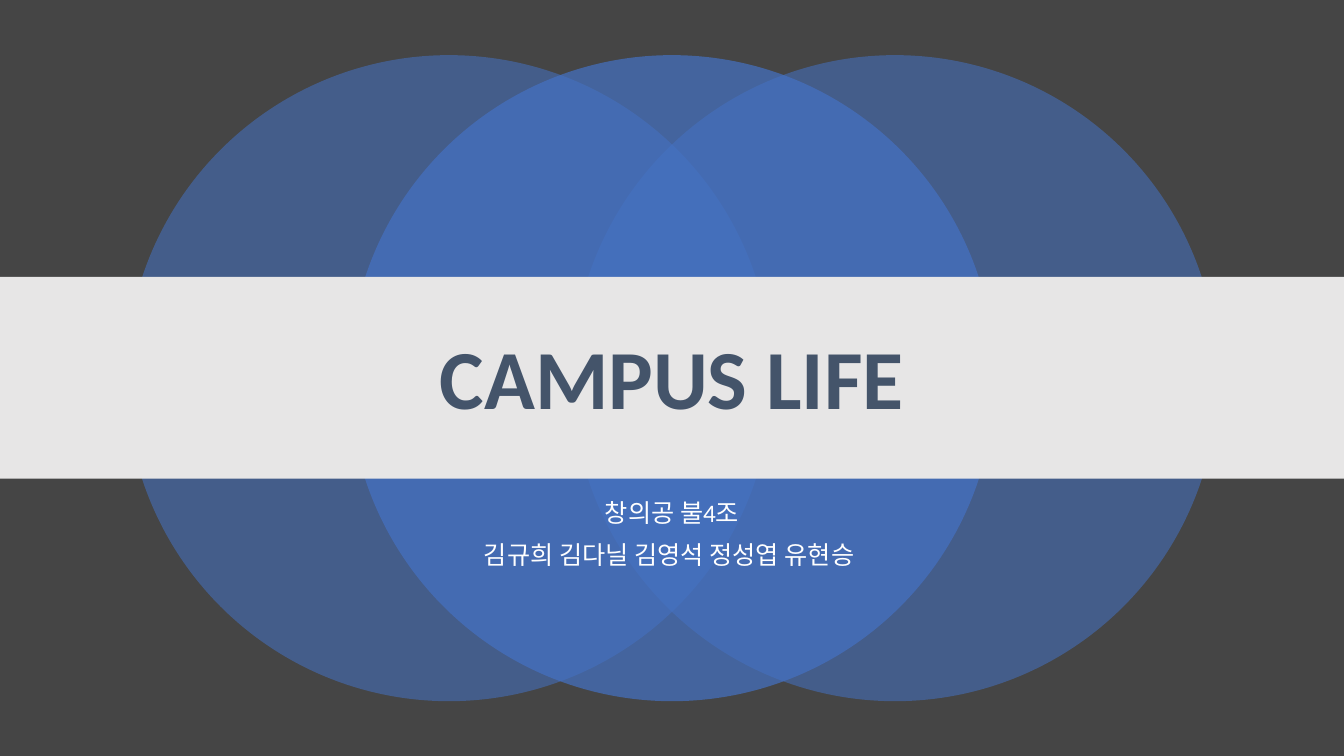
from dataclasses import dataclass

from lxml.etree import SubElement
from pptx import Presentation
from pptx.dml.color import RGBColor
from pptx.enum.shapes import MSO_SHAPE as Shape
from pptx.enum.text import MSO_ANCHOR as Anchor, PP_ALIGN as Align
from pptx.oxml.ns import qn
from pptx.util import Cm, Pt


@dataclass(frozen=True)
class Theme:
    font: str = "Calibri"
    background: str = "454545"
    circle: str = "4472C4"
    band: str = "E7E6E6"
    title: str = "44546A"
    subtitle: str = "FFFFFF"
    title_size: int = 60
    subtitle_size: int = 18


theme = Theme()
SLIDE_WIDTH, SLIDE_HEIGHT = 33.87, 19.05


def add_filled_shape(kind, left, top, width, height, color, opacity=100):
    """Add a borderless shape; lengths in cm, opacity in percent."""
    shape = slide.shapes.add_shape(kind, Cm(left), Cm(top), Cm(width), Cm(height))
    shape.shadow.inherit = False
    shape.line.fill.background()
    shape.fill.solid()
    shape.fill.fore_color.rgb = RGBColor.from_string(color)
    if opacity < 100:
        color_element = shape.fill._xPr.find(qn("a:solidFill"))[0]
        SubElement(color_element, qn("a:alpha"), val=str(opacity * 1000))


def add_text(text, *, top, height, size, color, bold=False, anchor=Anchor.TOP, space_before=0):
    """Add centred text, one paragraph per line; lengths in cm."""
    width = 25.4
    left = (SLIDE_WIDTH - width) / 2
    frame = slide.shapes.add_textbox(Cm(left), Cm(top), Cm(width), Cm(height)).text_frame
    frame.word_wrap = True
    frame.vertical_anchor = anchor
    frame.text = text
    for paragraph in frame.paragraphs:
        paragraph.alignment = Align.CENTER
        paragraph.line_spacing = 0.9
        paragraph.space_before = Pt(space_before)
        for run in paragraph.runs:
            run.font.name = theme.font
            run.font.size = Pt(size)
            run.font.bold = bold
            run.font.color.rgb = RGBColor.from_string(color)


presentation = Presentation()
presentation.slide_width = Cm(SLIDE_WIDTH)
presentation.slide_height = Cm(SLIDE_HEIGHT)
slide = presentation.slides.add_slide(presentation.slide_layouts[6])
slide.background.fill.solid()
slide.background.fill.fore_color.rgb = RGBColor.from_string(theme.background)

# Outer circles first, so that the middle one overlaps both
diameter, circle_step = 16.28, 5.62
for position, opacity in ((-1, 55), (1, 55), (0, 70)):
    left = (SLIDE_WIDTH - diameter) / 2 + position * circle_step
    add_filled_shape(Shape.OVAL, left, 1.39, diameter, diameter, theme.circle, opacity)

add_text("창의공 불4조\n김규희 김다닐 김영석 정성엽 유현승 ", top=12.5, height=2.1,
         size=theme.subtitle_size, color=theme.subtitle, space_before=10)

add_filled_shape(Shape.RECTANGLE, 0, 6.98, SLIDE_WIDTH, 5.08, theme.band)
add_text("CAMPUS LIFE", top=7.72, height=3.84, size=theme.title_size,
         color=theme.title, bold=True, anchor=Anchor.MIDDLE)

presentation.save("out.pptx")
